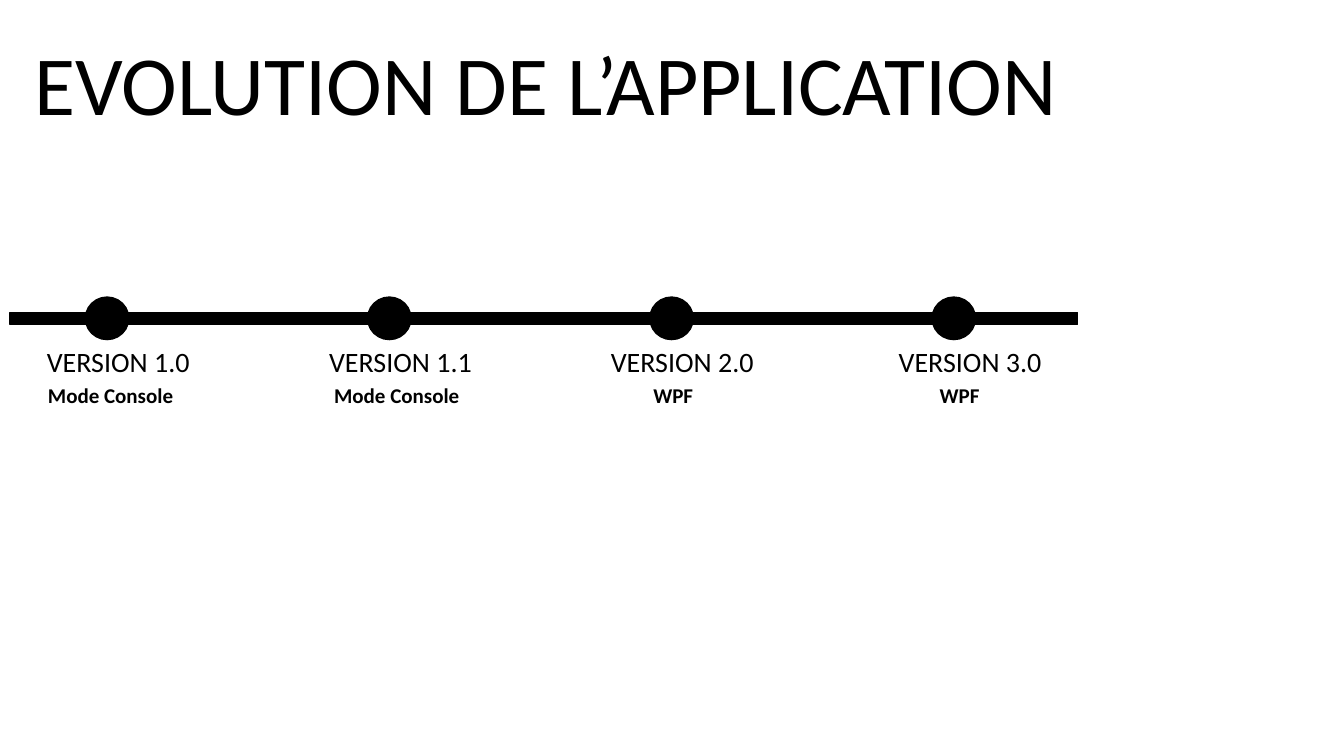
from pptx import Presentation
from pptx.dml.color import RGBColor
from pptx.enum import shapes, text
from pptx.util import Pt

BLACK = RGBColor(0, 0, 0)
FONT = "Calibri"
MILESTONES = [
    ("VERSION 1.0", 8, "Mode Console", 2.5),
    ("VERSION 1.1", 8, "Mode Console", 5.3),
    ("VERSION 2.0", 7.7, "WPF", 1.2),
    ("VERSION 3.0", 11.7, "WPF", 4.2),
]


def add_text(s, content, x, y, w, h, size, bold=False, align=text.PP_ALIGN.LEFT):
    tf = s.shapes.add_textbox(Pt(x), Pt(y), Pt(w), Pt(h)).text_frame
    tf.word_wrap = True
    p = tf.paragraphs[0]
    p.alignment = align
    r = p.add_run()
    r.text = content
    r.font.name = FONT
    r.font.size = Pt(size)
    r.font.bold = bold
    r.font.color.rgb = BLACK


def add_solid(s, kind, x, y, w, h):
    sp = s.shapes.add_shape(kind, Pt(x), Pt(y), Pt(w), Pt(h))
    sp.shadow.inherit = False
    sp.fill.solid()
    sp.fill.fore_color.rgb = BLACK
    sp.line.color.rgb = BLACK
    sp.line.width = Pt(1)


def add_title(s, x, y, w, h):
    add_text(s, "EVOLUTION DE L’APPLICATION", x, y, w, h, size=60)


def add_timeline(s, x, y, w, h):
    bar_h, dot_w, dot_h, label_w = 8.6, 31, 30.4, 160
    first, step = 69.3, 201.6
    centre = text.PP_ALIGN.CENTER
    add_solid(s, shapes.MSO_SHAPE.RECTANGLE, x, y + (dot_h - bar_h) / 2, w, bar_h)
    for i, (version, version_dx, mode, mode_dx) in enumerate(MILESTONES):
        cx = x + first + i * step
        left = cx - label_w / 2
        add_solid(s, shapes.MSO_SHAPE.OVAL, cx - dot_w / 2, y, dot_w, dot_h)
        add_text(s, version, left + version_dx, y + dot_h, label_w, 31.5,
                 size=20, align=centre)
        add_text(s, mode, left + mode_dx, y + h - 25.2, label_w, 25.2,
                 size=15, bold=True, align=centre)


def main():
    prs = Presentation()
    prs.slide_width, prs.slide_height = Pt(960), Pt(540)
    s = prs.slides.add_slide(prs.slide_layouts[6])
    add_title(s, 17.3, 18.7, 774.7, 80)
    add_timeline(s, 7.2, 212.2, 762.5, 83)
    prs.save("out.pptx")


if __name__ == "__main__":
    main()
